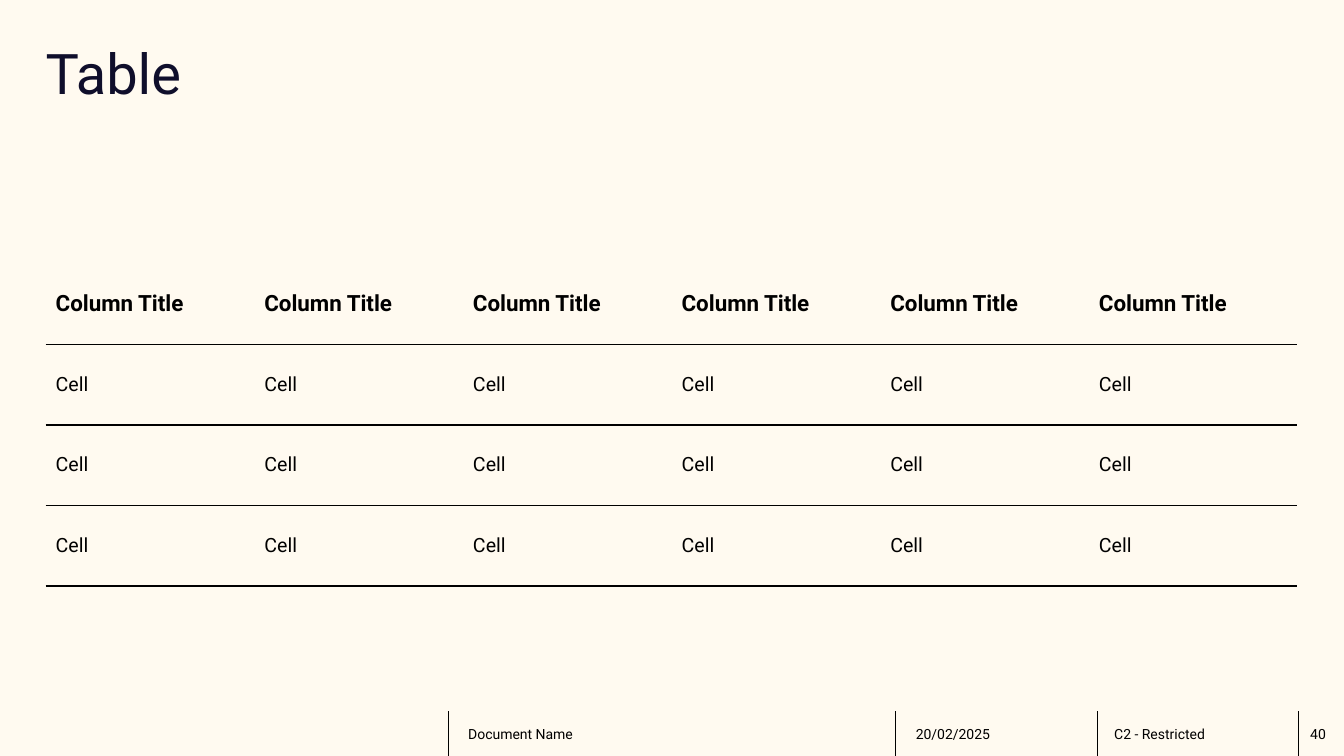
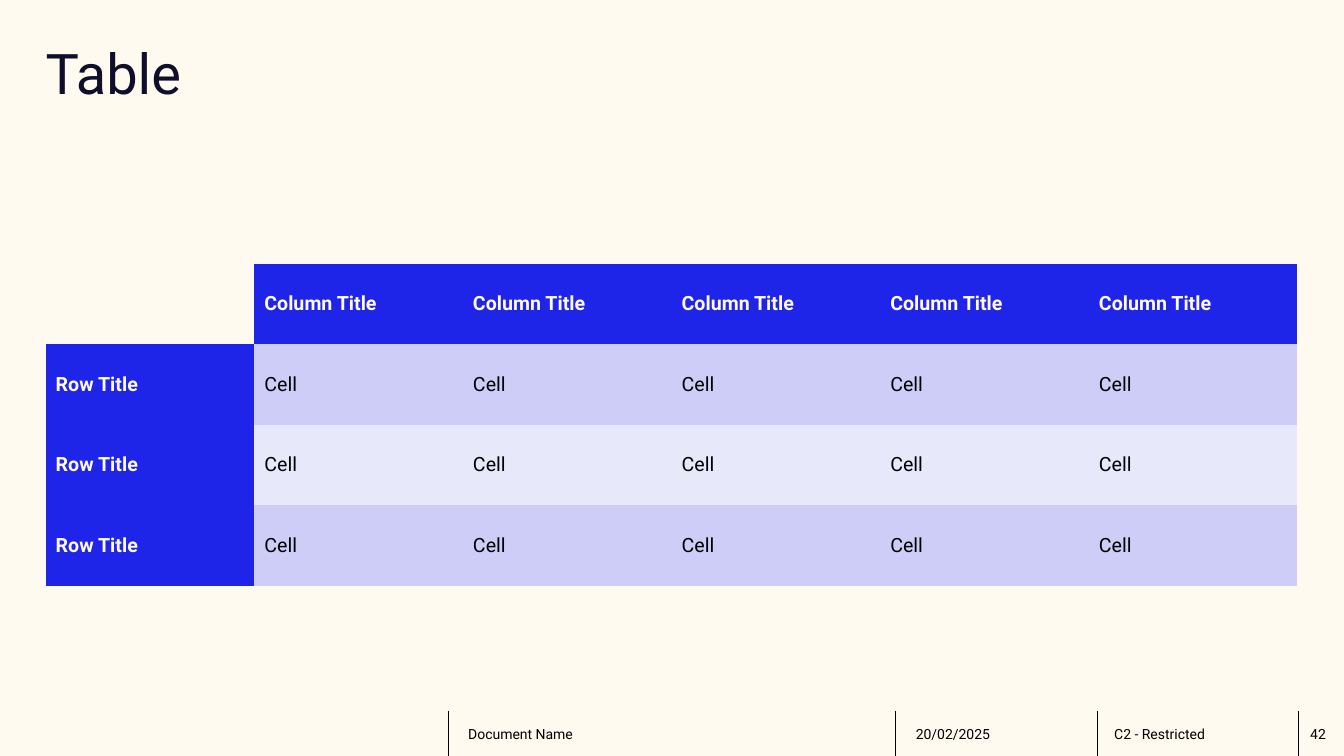
"""Builds two table slides that share a title style and a footer."""
from lxml import etree
from pptx import Presentation
from pptx.dml.color import RGBColor
from pptx.enum.shapes import MSO_CONNECTOR
from pptx.enum.text import MSO_ANCHOR as ANCHOR, PP_ALIGN as ALIGN
from pptx.oxml.ns import qn
from pptx.util import Cm, Pt

FONT = "Roboto"
CREAM, NAVY, BLACK = "FFFAF0", "0F0E2B", "000000"
BLUE, LILAC, PALE = "1F24E9", "CDCDF7", "E8E8FB"
NO_STYLE = "{2D5ABB26-0587-4C30-8999-92F81FD0307C}"

WIDTH, HEIGHT = 33.87, 19.05
MARGIN, CONTENT_W = 1.15, 31.55
TITLE_H = 4.19
TABLE_TOP, ROW_H = 6.65, 2.03
FOOTER_TOP = 17.92

FOOTER = [
    (11.3, 0.5, "Document Name"),
    (22.58, 0.5, "20/02/2025"),
    (27.66, 0.42, "C2 - Restricted"),
    (32.72, 0.3, None),
]

HEAD = dict(size=16, bold=True, color=BLACK, border=BLACK)
BODY = dict(size=14, bold=False, color=BLACK, border=BLACK)
BLUE_HEAD = dict(size=14, bold=True, color=CREAM, fill=BLUE)
BANDS = [dict(size=14, bold=False, color=BLACK, fill=c) for c in (LILAC, PALE)]

SLIDES = [
    dict(
        title="Table",
        page="40",
        rows=[["Column Title"] * 6] + [["Cell"] * 6] * 3,
        style=lambda row, col: BODY if row else HEAD,
    ),
    dict(
        title="Table",
        page="42",
        rows=[[""] + ["Column Title"] * 5] + [["Row Title"] + ["Cell"] * 5] * 3,
        style=lambda row, col: BANDS[(row - 1) % 2] if row and col else BLUE_HEAD,
    ),
]


def rgb(color):
    return RGBColor.from_string(color)


def write(tf, text, size, color, bold=False):
    p = tf.paragraphs[0]
    p.alignment = ALIGN.LEFT
    r = p.add_run()
    r.text = text
    for name, value in dict(name=FONT, size=Pt(size), bold=bold).items():
        setattr(r.font, name, value)
    r.font.color.rgb = rgb(color)
    return p


def set_frame(tf, anchor, left=0):
    values = dict(margin_left=Cm(left), margin_top=0, margin_right=0,
                  margin_bottom=0, vertical_anchor=anchor, word_wrap=True)
    for name, value in values.items():
        setattr(tf, name, value)


def add_title(s, text):
    sp = s.shapes.title
    sp.left, sp.top = Cm(MARGIN), Cm(MARGIN)
    sp.width, sp.height = Cm(CONTENT_W), Cm(TITLE_H)
    set_frame(sp.text_frame, ANCHOR.TOP)
    write(sp.text_frame, text, 40, NAVY).line_spacing = 0.9


def add_footer(s, page):
    ends = [x for x, _, _ in FOOTER[1:]] + [WIDTH]
    for (x, inset, text), end in zip(FOOTER, ends):
        line = s.shapes.add_connector(
            MSO_CONNECTOR.STRAIGHT, Cm(x), Cm(FOOTER_TOP), Cm(x), Cm(HEIGHT))
        line.line.color.rgb = rgb(BLACK)
        line.line.width = Pt(0.75)
        etree.SubElement(line._element.spPr, qn("a:effectLst"))
        sp = s.shapes.add_textbox(
            Cm(x), Cm(FOOTER_TOP), Cm(end - x), Cm(HEIGHT - FOOTER_TOP))
        set_frame(sp.text_frame, ANCHOR.MIDDLE, inset)
        write(sp.text_frame, text or page, 10, BLACK)


def add_bottom_border(cell, color):
    ln = etree.Element(qn("a:lnB"), w=str(Pt(1)))
    fill = etree.SubElement(ln, qn("a:solidFill"))
    etree.SubElement(fill, qn("a:srgbClr"), val=color)
    cell._tc.get_or_add_tcPr().insert(0, ln)


def format_cell(cell, text, size, color, bold, fill=None, border=None):
    cell.vertical_anchor = ANCHOR.MIDDLE
    if fill and text:
        cell.fill.solid()
        cell.fill.fore_color.rgb = rgb(fill)
    else:
        cell.fill.background()
    if border:
        add_bottom_border(cell, border)
    if text:
        write(cell.text_frame, text, size, color, bold)


def add_table(s, rows, style):
    table = s.shapes.add_table(
        len(rows), len(rows[0]), Cm(MARGIN), Cm(TABLE_TOP),
        Cm(CONTENT_W), Cm(ROW_H * len(rows))).table
    table.first_row = table.horz_banding = False
    table._tbl.tblPr.find(qn("a:tableStyleId")).text = NO_STYLE
    for i, row in enumerate(rows):
        for j, text in enumerate(row):
            format_cell(table.cell(i, j), text, **style(i, j))


def main():
    prs = Presentation()
    prs.slide_width, prs.slide_height = Cm(WIDTH), Cm(HEIGHT)
    background = prs.slide_master.background.fill
    background.solid()
    background.fore_color.rgb = rgb(CREAM)
    for content in SLIDES:
        s = prs.slides.add_slide(prs.slide_layouts[5])
        add_title(s, content["title"])
        add_footer(s, content["page"])
        add_table(s, content["rows"], content["style"])
    prs.save("out.pptx")


if __name__ == "__main__":
    main()
